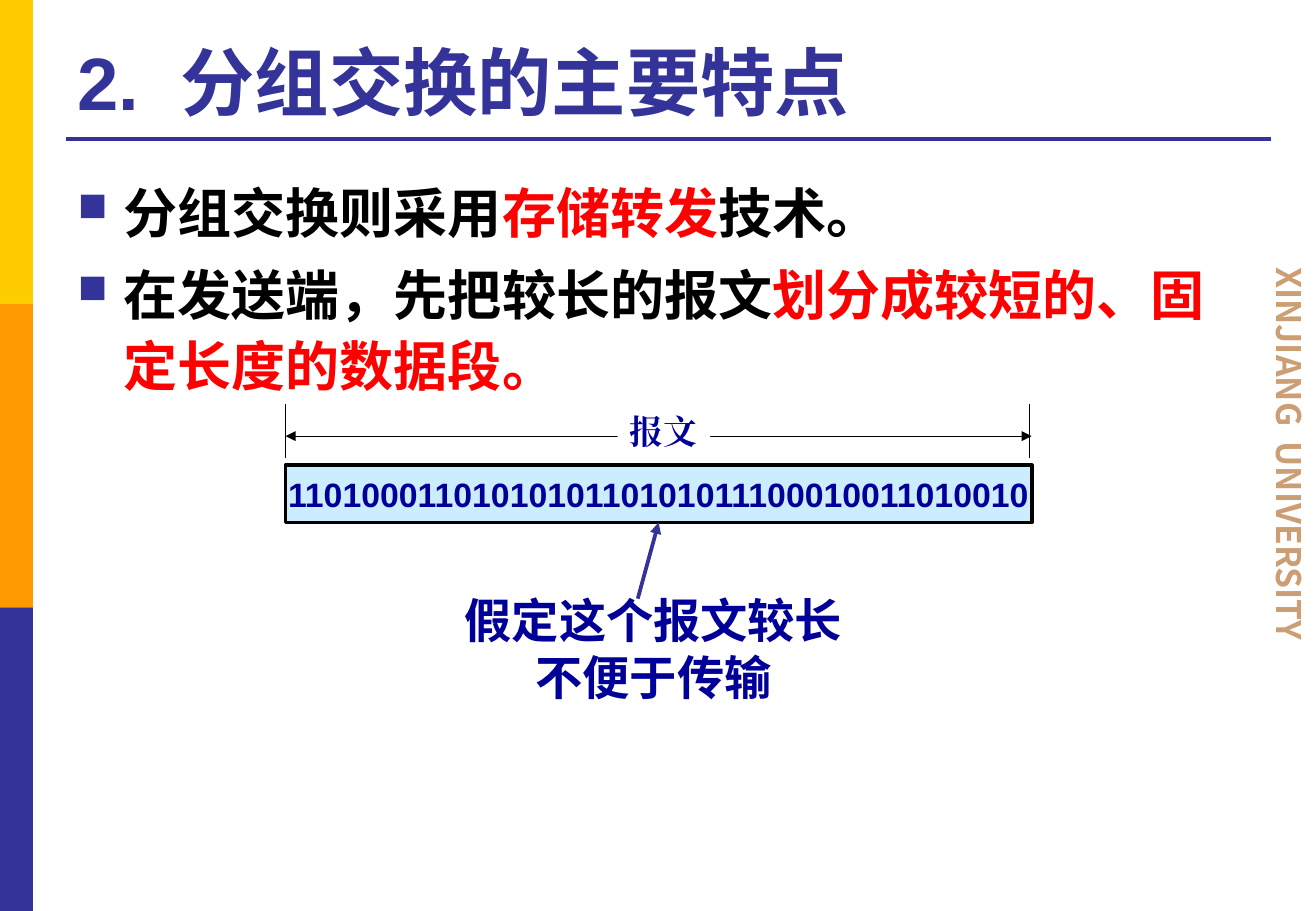
from collections import namedtuple

from lxml import etree
from pptx import Presentation, util as u
from pptx.dml import color
from pptx.enum import shapes, text
from pptx.oxml import ns

Box = namedtuple("Box", "left top width height")
NAVY, INK, RED, BLACK, WHITE = "333399", "000099", "FF0000", "000000", "FFFFFF"


def rgb(code):
    return color.RGBColor.from_string(code)


def part(box, left, top, width=0, height=0):
    """Return a box inside another one, given in percent of its sides."""
    return Box(round(box.left + box.width * left / 100),
               round(box.top + box.height * top / 100),
               round(box.width * width / 100),
               round(box.height * height / 100))


def add_span(para, words, size=20, font="Arial", east_font=None, ink=BLACK, gap=0):
    """Add bold text; gap is extra letter spacing in points."""
    span = para.add_run()
    span.text = words
    span.font.size, span.font.bold, span.font.name = u.Pt(size), True, font
    span.font.color.rgb = rgb(ink)
    props = span.font._element
    east = etree.Element(ns.qn("a:ea"), typeface=east_font or font)
    props.find(ns.qn("a:latin")).addnext(east)
    if gap:
        props.set("spc", str(round(gap * 100)))


def add_rect(page, box, fill, line=None, width=2.25):
    rect = page.shapes.add_shape(shapes.MSO_SHAPE.RECTANGLE, *box)
    rect.shadow.inherit = False
    rect.fill.solid()
    rect.fill.fore_color.rgb = rgb(fill)
    if line:
        rect.line.color.rgb = rgb(line)
        rect.line.width = u.Pt(width)
    else:
        rect.line.fill.background()
    return rect


def first_para(shape, wrap=True, align=text.PP_ALIGN.LEFT):
    shape.text_frame.word_wrap = wrap
    para = shape.text_frame.paragraphs[0]
    para.alignment = align
    return para


def add_line(page, start, end, ink=BLACK, width=0.75, heads=()):
    line = page.shapes.add_connector(shapes.MSO_CONNECTOR.STRAIGHT,
                                     start.left, start.top, end.left, end.top)
    line.line.color.rgb = rgb(ink)
    line.line.width = u.Pt(width)
    for head in heads:
        etree.SubElement(line.line._get_or_add_ln(), ns.qn(f"a:{head}"), type="triangle")
    etree.SubElement(line._element.spPr, ns.qn("a:effectLst"))
    return line


def add_bullet(para):
    props = para._p.get_or_add_pPr()
    indent = u.Inches(0.38)
    props.set("marL", str(indent))
    props.set("indent", str(-indent))
    tint = etree.SubElement(props, ns.qn("a:buClr"))
    etree.SubElement(tint, ns.qn("a:srgbClr"), val=NAVY)
    etree.SubElement(props, ns.qn("a:buSzPct"), val="75000")
    etree.SubElement(props, ns.qn("a:buChar"), char="■")


def add_frame(page, box):
    """Draw the side stripes, the title rule and the university name."""
    for row, fill in enumerate(("FFCC00", "FF9900", NAVY)):
        add_rect(page, part(box, 0, row * 100 / 3, 2.5, 100 / 3), fill)
    add_line(page, part(box, 5, 15.3), part(box, 96.6, 15.3), NAVY, 2.25)
    name = add_rect(page, part(box, 95, 28, 5, 48.27), WHITE, WHITE, 2)
    para = first_para(name)
    name.text_frame.vertical_anchor = text.MSO_ANCHOR.TOP
    name.text_frame._txBody.bodyPr.set("vert", "vert")
    for words, gap in (("XINJIANG", 0), (" ", 4.5), ("UNIVERSITY", 0)):
        add_span(para, words, font="Noto Sans CJK SC", ink="CC9E74", gap=gap)


def add_title(page, box):
    title = page.shapes.add_textbox(*box)
    title.text_frame.vertical_anchor = text.MSO_ANCHOR.BOTTOM
    para = first_para(title)
    for words, gap in (("2.", 0), (" ", 12), ("分组交换的主要特点", 0)):
        add_span(para, words, size=44, ink=NAVY, gap=gap)


def add_points(page, box, points):
    body = page.shapes.add_textbox(*box)
    para = first_para(body)
    for row, spans in enumerate(points):
        if row:
            para = body.text_frame.add_paragraph()
            para.space_before = u.Pt(6)
        para.line_spacing = 1.1
        add_bullet(para)
        for words, ink in spans:
            add_span(para, words, size=32, east_font="Roboto", ink=ink)


def add_message_diagram(page, box):
    """Draw the message bits, the measure above and the note below."""
    add_line(page, part(box, 0, 10.3), part(box, 100, 10.3), heads=("headEnd", "tailEnd"))
    label = add_rect(page, part(box, 44.5, 0, 12.4, 17.4), WHITE)
    add_span(first_para(label, wrap=False), "报文", font="Times New Roman", ink=INK)

    message = add_rect(page, part(box, 0, 19.8, 100, 18.6), "CCECFF", BLACK)
    bits = first_para(message, wrap=False, align=text.PP_ALIGN.CENTER)
    add_span(bits, "1101000110101010110101011100010011010010", ink=INK)

    note = page.shapes.add_textbox(*part(box, 22.1, 58.9, 54.4, 41.1))
    para = first_para(note, wrap=False, align=text.PP_ALIGN.CENTER)
    add_span(para, "假定这个报文较长", size=28, font="Roboto", ink=INK)
    para = note.text_frame.add_paragraph()
    para.alignment = text.PP_ALIGN.CENTER
    add_span(para, "不便于传输", size=28, font="Roboto", ink=INK)

    arrow = add_line(page, part(box, 47.2, 63.2), part(box, 50, 38.4),
                     NAVY, 2.25, heads=("tailEnd",))
    arrow.end_connect(message, 2)
    for side in (0, 99.7):
        add_line(page, part(box, side, 0), part(box, side, 17.4))


def main():
    deck = Presentation()
    deck.slide_width, deck.slide_height = u.Inches(10.83), u.Inches(7.5)
    page = deck.slides.add_slide(deck.slide_layouts[6])
    slide = Box(0, 0, deck.slide_width, deck.slide_height)
    add_frame(page, slide)
    add_title(page, part(slide, 5, 2.8, 91.5, 11.6))
    add_points(page, part(slide, 5, 18.4, 91.5, 71), (
        (("分组交换则采用", BLACK), ("存储转发", RED), ("技术。", BLACK)),
        (("在发送端，先把较长的报文", BLACK), ("划分成较短的、固定长度的数据段。", RED)),
    ))
    add_message_diagram(page, part(slide, 21.7, 44.4, 56.7, 33.73))
    deck.save("out.pptx")


if __name__ == "__main__":
    main()
